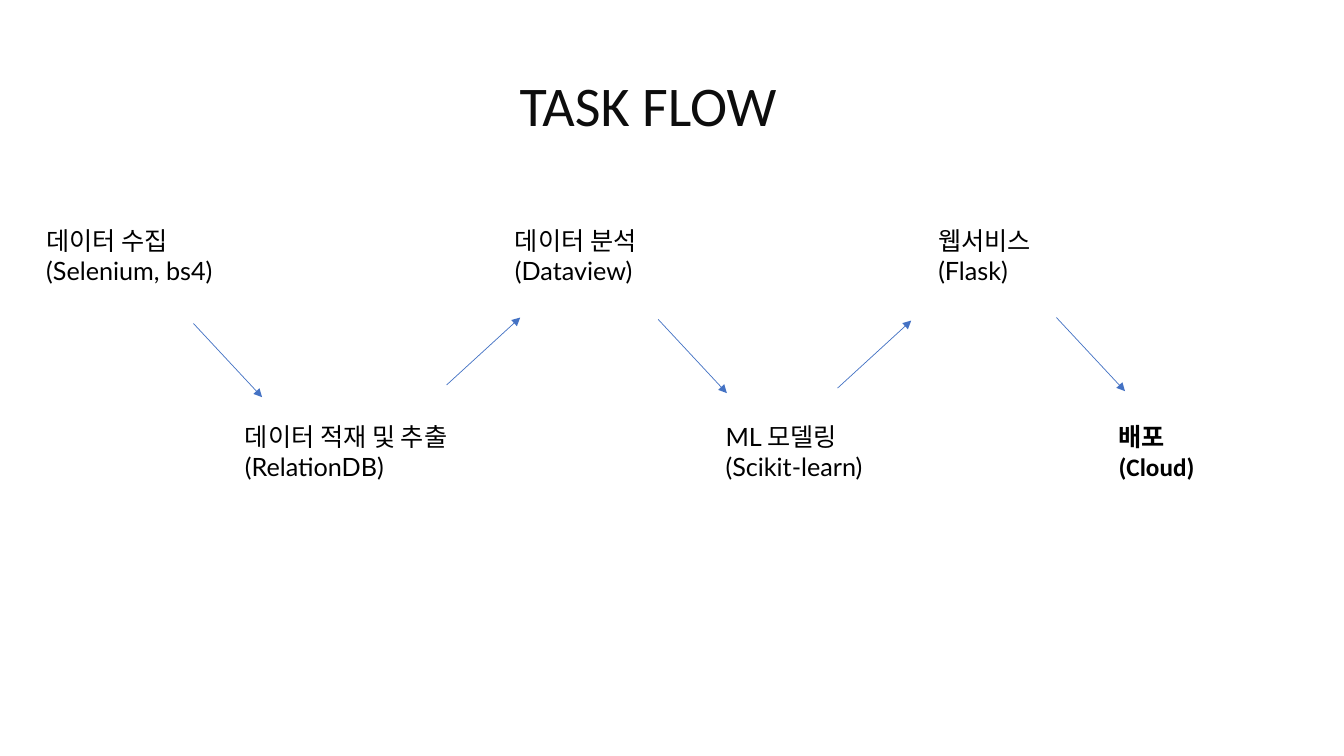
from lxml import etree
from pptx import Presentation
from pptx.dml.color import RGBColor
from pptx.enum.shapes import MSO_CONNECTOR as Connector
from pptx.enum.text import MSO_AUTO_SIZE as AutoSize, PP_ALIGN as Align
from pptx.oxml.ns import qn
from pptx.util import Pt

# Content: (task, tool, left, width, font, bold), alternating upper and lower row
STEPS = [
    ("데이터 수집", "(Selenium, bs4)", 25.9, 182, "Lato", False),
    ("데이터 적재 및 추출", "(RelationDB)", 167.8, 182, "Lato", False),
    ("데이터 분석", "(Dataview)", 360.7, 119, "Lato", False),
    ("ML 모델링", "(Scikit-learn)", 511.2, 152, "Lato", False),
    ("웹서비스", "(Flask)", 663.1, 129, "Lato", False),
    ("배포", "(Cloud)", 792, 86.4, "Calibri", True),
]
ROW_TOPS = (157.2, 297.4)
STEP_HEIGHT = 51

# Arrow starts, alternating down and up
ARROW_STARTS = [(138.2, 231.1), (319, 275), (470.2, 228.2), (598.3, 277.2), (754.6, 226.8)]
ARROW_SPANS = ((49, 52.6), (52.6, -48.2))


def color(value):
    return RGBColor.from_string(value)


def add_text(slide, lines, left, top, width, height, *, size=18, font="Lato",
             fill="000000", bold=False, align=Align.LEFT):
    box = slide.shapes.add_textbox(Pt(left), Pt(top), Pt(width), Pt(height))
    frame = box.text_frame
    frame.word_wrap = True
    frame.auto_size = AutoSize.SHAPE_TO_FIT_TEXT
    frame.text = "\n".join(lines)
    for paragraph in frame.paragraphs:
        paragraph.alignment = align
        run_font = paragraph.runs[0].font
        run_font.name = font
        run_font.size = Pt(size)
        run_font.bold = bold
        run_font.color.rgb = color(fill)


def add_arrow(slide, start, span):
    x, y = start
    dx, dy = span
    arrow = slide.shapes.add_connector(Connector.STRAIGHT, Pt(x), Pt(y), Pt(x + dx), Pt(y + dy))
    arrow.line.color.rgb = color("4472C4")
    arrow.line.width = Pt(0.5)
    properties = arrow.element.spPr
    etree.SubElement(properties.find(qn("a:ln")), qn("a:tailEnd"), type="triangle")
    etree.SubElement(properties, qn("a:effectLst"))


def main():
    presentation = Presentation()
    presentation.slide_width, presentation.slide_height = Pt(960), Pt(540)
    slide = presentation.slides.add_slide(presentation.slide_layouts[6])

    # Title
    add_text(slide, ["TASK FLOW"], 221, 46.8, 483.8, 55.4, size=40, font="Calibri",
             fill="0D0D0D", align=Align.CENTER)

    # Steps in two rows
    for index, (task, tool, left, width, font, bold) in enumerate(STEPS):
        add_text(slide, [task, tool], left, ROW_TOPS[index % 2], width, STEP_HEIGHT,
                 font=font, bold=bold)

    # Arrows between steps
    for index, start in enumerate(ARROW_STARTS):
        add_arrow(slide, start, ARROW_SPANS[index % 2])

    presentation.save("out.pptx")


if __name__ == "__main__":
    main()
